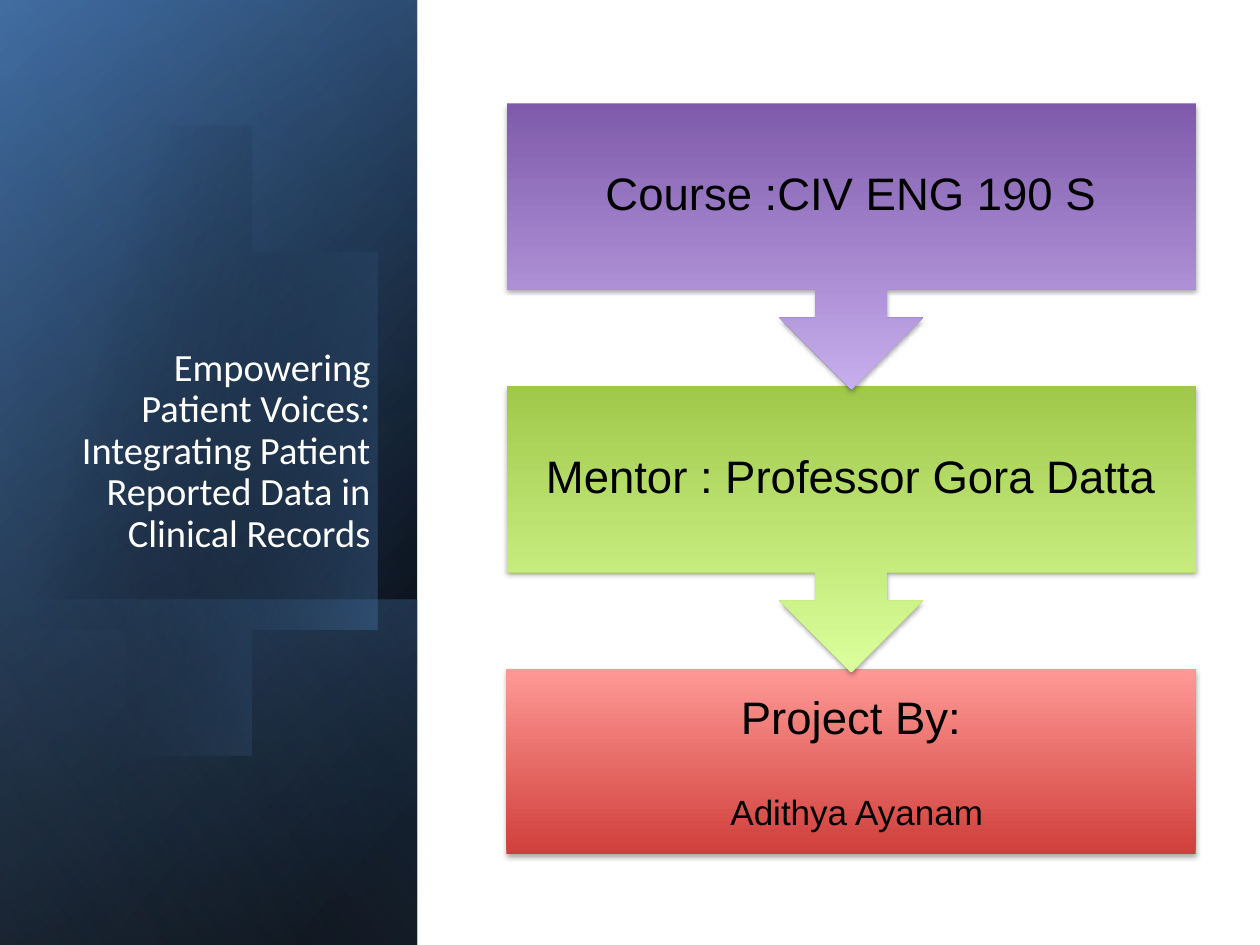
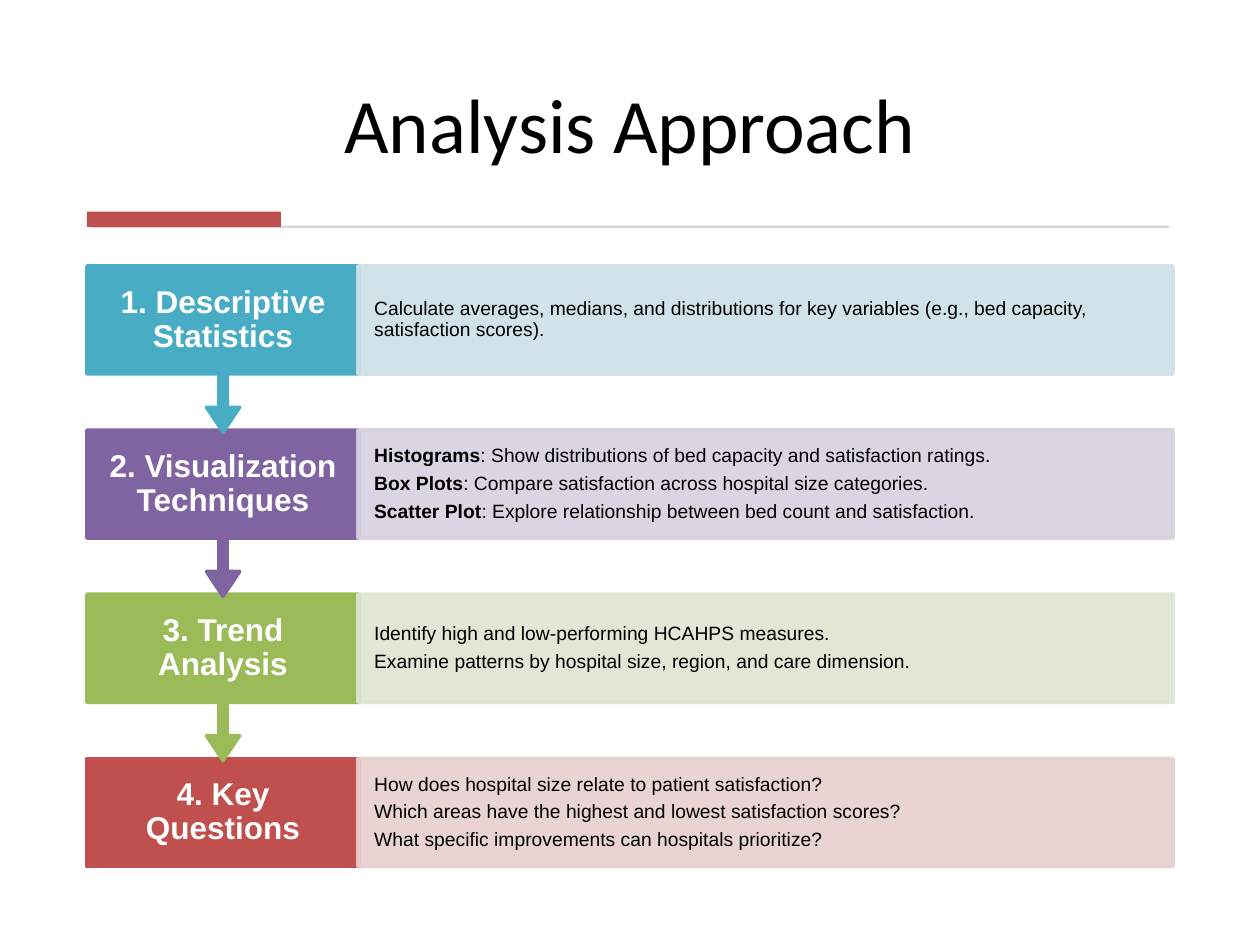
"""Builds a course cover with a shaded side panel and a four-step analysis slide."""
from lxml import etree
from pptx import Presentation, util as u
from pptx.dml.color import RGBColor
from pptx.enum import shapes, text
from pptx.oxml.ns import qn

WIDTH, HEIGHT = 10, 7.5
COLOURS = {
    "ink": "000000", "paper": "FFFFFF", "rule": "D5D5D5", "accent": "C0504D",
    "navy": "366092", "blue": "4F81BD", "sky": "93B3D7",
}

COVER_TITLE = "Empowering Patient Voices: Integrating Patient Reported Data in Clinical Records"
COVER_STEPS = [
    ("Course :CIV ENG 190 S", "7F5AAB", "C7AEED"),
    ("Mentor : Professor Gora Datta", "A0C94A", "DBFF9C"),
    ("Project By:", "D03F3B", "FF9995"),
]
AUTHOR = "Adithya Ayanam"

APPROACH_TITLE = "Analysis Approach"
APPROACH_STEPS = [
    ("1. Descriptive Statistics", "49ACC5", "CDE1E8", [
        ("", "Calculate averages, medians, and distributions for key variables "
             "(e.g., bed capacity, satisfaction scores)."),
    ]),
    ("2. Visualization Techniques", "8064A2", "D7D1DF", [
        ("Histograms", ": Show distributions of bed capacity and satisfaction ratings."),
        ("Box Plots", ": Compare satisfaction across hospital size categories."),
        ("Scatter Plot", ": Explore relationship between bed count and satisfaction."),
    ]),
    ("3. Trend Analysis", "9BBB59", "DDE5D0", [
        ("", "Identify high and low-performing HCAHPS measures."),
        ("", "Examine patterns by hospital size, region, and care dimension."),
    ]),
    ("4. Key Questions", "BF504D", "E7CFCF", [
        ("", "How does hospital size relate to patient satisfaction?"),
        ("", "Which areas have the highest and lowest satisfaction scores?"),
        ("", "What specific improvements can hospitals prioritize?"),
    ]),
]

PANEL_WIDTH = 3.31
PANEL_BASE = 2.74
FULL_PANEL = (0, 0, PANEL_WIDTH, HEIGHT)
BASE_PANEL = (0, HEIGHT - PANEL_BASE, PANEL_WIDTH, PANEL_BASE)
PANEL_LAYERS = [
    (FULL_PANEL, [(0, "ink", 100), (8, "ink", 100), (100, "navy", 100)], 50),
    (FULL_PANEL, [(0, "ink", 0), (99, "blue", 46), (100, "blue", 46)], 30),
    (BASE_PANEL, [(0, "blue", 29), (2, "blue", 29), (100, "ink", 30)], 130),
]
PANEL_GLOSS = (FULL_PANEL, [(0, "ink", 0), (99, "sky", 11), (100, "sky", 11)], 120)
OVAL_STOPS = [(0, "ink", 0), (29, "ink", 0), (100, "blue", 43)]
OVAL_START = (0.96, 1.14)
OVAL_CURVES = [
    [(1.71, 1.22), (2.44, 1.92), (2.73, 2.9)],
    [(3.07, 4.12), (2.62, 5.31), (1.71, 5.57)],
    [(1.14, 5.74), (0.53, 5.5), (0.07, 5)],
    [(-0.03, 4.88)],
    [(-0.25, 1.66)],
    [(-0.15, 1.54)],
    [(0.02, 1.37), (0.22, 1.25), (0.45, 1.18)],
    [(0.62, 1.13), (0.79, 1.12), (0.96, 1.14)],
]


def inches(area):
    return [u.Inches(length) for length in area]


def rgb(name):
    return RGBColor.from_string(COLOURS.get(name, name))


def set_values(target, values):
    for name, value in values.items():
        setattr(target, name, value)


def write(frame, paragraphs, size, colour="ink", font="Arial", bold=False,
          align="LEFT", anchor="MIDDLE", insets=(0.1, 0.05), spacing=0.9):
    """Fill a frame with paragraphs, each a pair of bold lead and remaining words."""
    across, down = inches(insets)
    set_values(frame, {
        "word_wrap": True, "auto_size": text.MSO_AUTO_SIZE.NONE,
        "vertical_anchor": getattr(text.MSO_ANCHOR, anchor),
        "margin_left": across, "margin_right": across,
        "margin_top": down, "margin_bottom": down,
    })
    for index, (lead, rest) in enumerate(paragraphs):
        paragraph = frame.add_paragraph() if index else frame.paragraphs[0]
        set_values(paragraph, {
            "alignment": getattr(text.PP_ALIGN, align), "line_spacing": spacing,
            "space_before": u.Pt(3.9 if index else 0),
        })
        for words, weight in ((lead, True), (rest, bold)):
            if words:
                run = paragraph.add_run()
                run.text = words
                set_values(run.font, {"size": u.Pt(size), "name": font, "bold": weight})
                run.font.color.rgb = rgb(colour)


def add_text(slide, area, paragraphs, **style):
    write(slide.shapes.add_textbox(*inches(area)).text_frame, paragraphs, **style)


def add_title(slide, words, area, **style):
    title = slide.shapes.title
    set_values(title, dict(zip(("left", "top", "width", "height"), inches(area))))
    write(title.text_frame, [("", words)], font="Calibri", anchor="BOTTOM", **style)
    slide.shapes._spTree.append(title._element)


def add_alpha(colour, percent):
    etree.SubElement(colour, qn("a:alpha"), val=str(percent * 1000))


def shade(shape, stops, angle):
    """Give a shape a linear gradient of (position, colour, opacity) stops."""
    shape.shadow.inherit = False
    shape.line.fill.background()
    shape.fill.gradient()
    gradient = shape._element.spPr.find(qn("a:gradFill"))
    stop_list = gradient.find(qn("a:gsLst"))
    for stop in list(stop_list):
        stop_list.remove(stop)
    for position, name, opacity in stops:
        stop = etree.SubElement(stop_list, qn("a:gs"), pos=str(position * 1000))
        colour = etree.SubElement(stop, qn("a:srgbClr"), val=str(rgb(name)))
        if opacity < 100:
            add_alpha(colour, opacity)
    gradient.find(qn("a:lin")).set("ang", str(angle * 60000))


def drop_shadow(shape):
    effects = shape._element.spPr.find(qn("a:effectLst"))
    shadow = etree.SubElement(
        effects, qn("a:outerShdw"), blurRad=str(u.Pt(3.1)), dist=str(u.Pt(1.8)),
        dir=str(90 * 60000), rotWithShape="0")
    add_alpha(etree.SubElement(shadow, qn("a:srgbClr"), val=COLOURS["ink"]), 35)


def add_block(slide, area, colour, outline=0, opacity=100, shape=None):
    """Paint a flat block, or paint the given shape the same way."""
    block = shape or slide.shapes.add_shape(shapes.MSO_SHAPE.RECTANGLE, *inches(area))
    block.shadow.inherit = False
    block.fill.solid()
    block.fill.fore_color.rgb = rgb(colour)
    if outline:
        block.line.width = u.Pt(outline)
        block.line.color.rgb = rgb(colour)
    else:
        block.line.fill.background()
    if opacity < 100:
        for element in list(block._element.spPr.iter(qn("a:srgbClr"))):
            add_alpha(element, opacity)


def add_step(slide, area, reach, adjustments, last):
    """Add a step box; every step but the last points down to the next one."""
    left, top, width, height = area
    if last:
        return slide.shapes.add_shape(shapes.MSO_SHAPE.RECTANGLE, *inches(area))
    step = slide.shapes.add_shape(
        shapes.MSO_SHAPE.UP_ARROW_CALLOUT, *inches((left, top, width, reach)))
    step.rotation = 180
    for index, value in enumerate(adjustments):
        step.adjustments[index] = value
    return step


def add_panel_layer(slide, area, stops, angle):
    """Cover an area with a mirrored rectangle turned a quarter round its centre."""
    left, top, width, height = area
    shift = (width - height) / 2
    layer = slide.shapes.add_shape(
        shapes.MSO_SHAPE.RECTANGLE, *inches((left + shift, top - shift, height, width)))
    layer.rotation = 90
    layer._element.spPr.find(qn("a:xfrm")).set("flipH", "1")
    shade(layer, stops, angle)


def bezier(start, first, second, end, count=16):
    for step in range(1, count + 1):
        t = step / count
        weights = ((1 - t) ** 3, 3 * t * (1 - t) ** 2, 3 * t * t * (1 - t), t ** 3)
        yield tuple(sum(weight * point[axis] for weight, point
                        in zip(weights, (start, first, second, end))) for axis in (0, 1))


def add_oval(slide):
    points = [OVAL_START]
    for curve in OVAL_CURVES:
        points.extend(bezier(points[-1], *curve) if len(curve) == 3 else curve)
    builder = slide.shapes.build_freeform(*OVAL_START, scale=u.Inches(1))
    builder.add_line_segments(points[1:], close=True)
    shade(builder.convert_to_shape(), OVAL_STOPS, 14)


def build_cover(slide):
    for layer in PANEL_LAYERS:
        add_panel_layer(slide, *layer)
    add_oval(slide)
    add_panel_layer(slide, *PANEL_GLOSS)
    add_title(slide, COVER_TITLE, (0.48, 1.84, 2.56, 2.62),
              size=22, colour="paper", align="RIGHT")
    left, top, width, height, pitch = 4.02, 0.82, 5.47, 1.47, 2.245
    for index, (words, start, end) in reversed(list(enumerate(COVER_STEPS))):
        last = index == len(COVER_STEPS) - 1
        area = (left, top + index * pitch, width, height)
        step = add_step(slide, area, 2.27, (0.25, 0.25, 0.25, 0.65), last)
        shade(step, [(0, start, 100), (100, end, 100)], 270)
        drop_shadow(step)
        label = (*area[:3], 0.8) if last else area
        add_text(slide, label, [("", words)], size=26, align="CENTER", insets=(0.2, 0.2))
        if last:
            add_text(slide, (4.91, area[1] + 0.81, 3.78, 0.68), [("", AUTHOR)],
                     size=20, align="CENTER", insets=(0.16, 0.03))


def build_approach(slide):
    left, top, label_width, height, pitch = 0.69, 2.11, 2.16, 0.86, 1.303
    detail_left, detail_width = 2.84, 6.47
    add_title(slide, APPROACH_TITLE, (left, 0.28, 8.62, 1.11),
              size=44, align="CENTER", spacing=1.0)
    add_block(slide, (0.71, 1.79, 8.57, 0.02), "rule")
    add_block(slide, (left, 1.68, 1.54, 0.12), "accent")
    for index, (words, colour, tint, details) in reversed(list(enumerate(APPROACH_STEPS))):
        row = top + index * pitch
        label = (left, row, label_width, height)
        detail = (detail_left, row, detail_width, height)
        step = add_step(slide, label, 1.32, (0.05, 0.1, 0.15, 0.65),
                        index == len(APPROACH_STEPS) - 1)
        add_block(slide, label, colour, outline=2, shape=step)
        add_text(slide, label, [("", words)], size=18, colour="paper", bold=True,
                 align="CENTER", insets=(0.15, 0.14))
        add_block(slide, detail, tint, outline=2, opacity=90)
        add_text(slide, detail, details, size=11, insets=(0.13, 0.15))


def main():
    presentation = Presentation()
    set_values(presentation, {
        "slide_width": u.Inches(WIDTH), "slide_height": u.Inches(HEIGHT)})
    title_only = presentation.slide_layouts[5]
    for build in (build_cover, build_approach):
        build(presentation.slides.add_slide(title_only))
    presentation.save("out.pptx")


if __name__ == "__main__":
    main()
